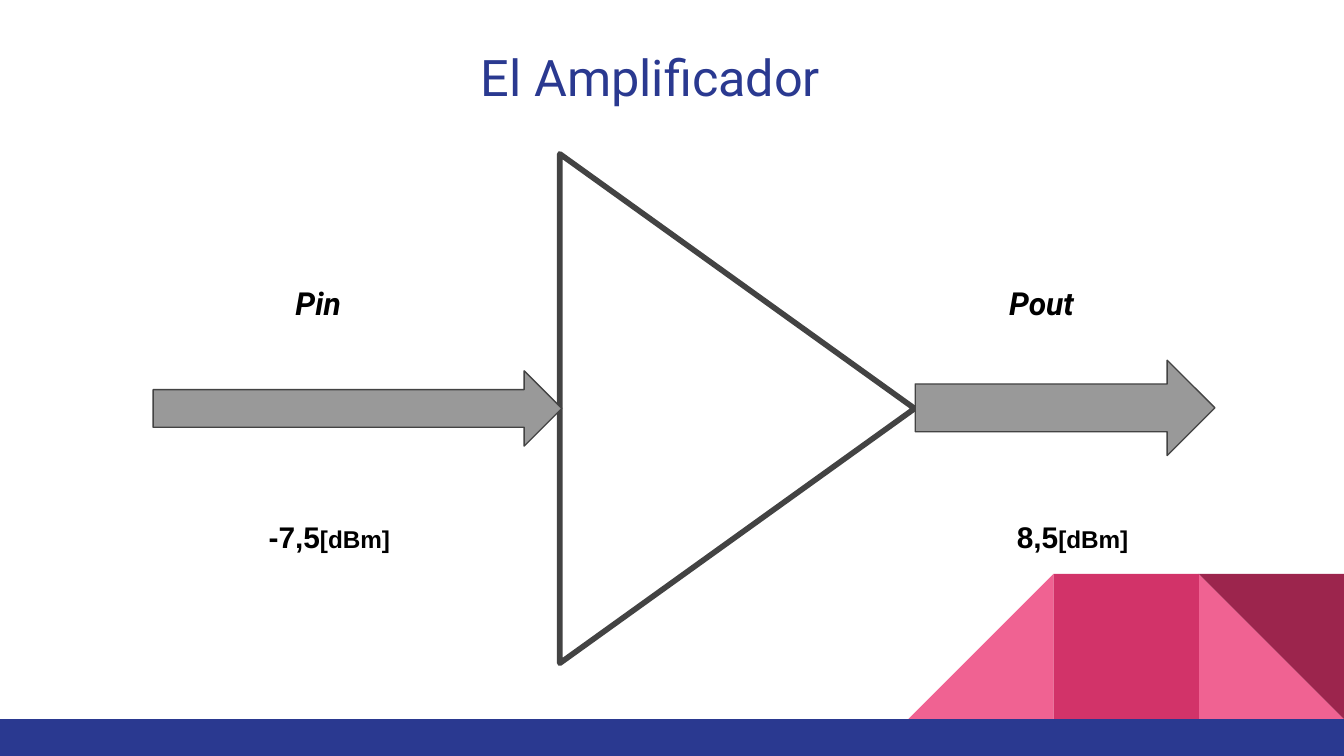
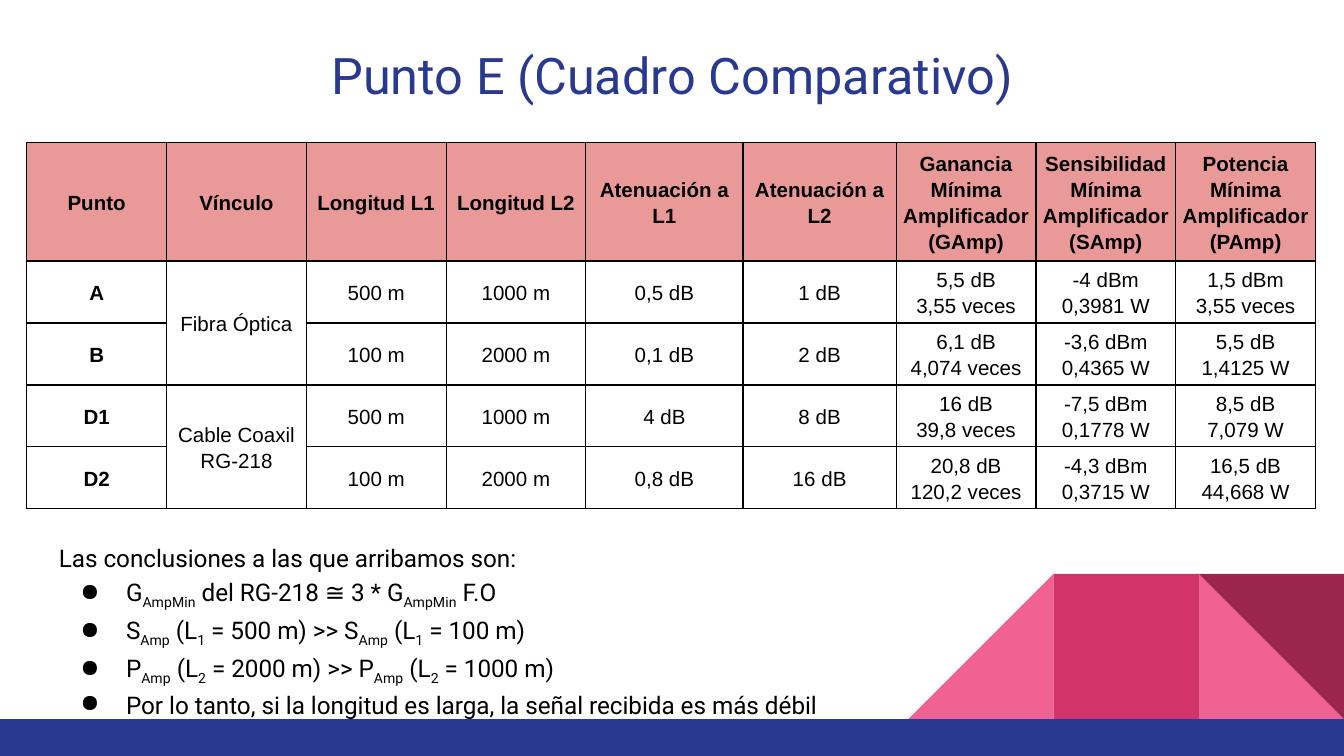
"""Build two slides on amplifier power: a block diagram and a comparison table."""

import dataclasses
import typing

import lxml.etree
import pptx
import pptx.dml.color
import pptx.enum.shapes
import pptx.enum.text
import pptx.oxml.ns
import pptx.util

RGB = pptx.dml.color.RGBColor
Pt = pptx.util.Pt
Preset = pptx.enum.shapes.MSO_SHAPE
Align = pptx.enum.text.PP_ALIGN
qn = pptx.oxml.ns.qn

BLACK = RGB(0x00, 0x00, 0x00)
WHITE = RGB(0xFF, 0xFF, 0xFF)
NAVY = RGB(0x2A, 0x39, 0x90)
PINK = RGB(0xF0, 0x62, 0x92)
MAGENTA = RGB(0xD2, 0x33, 0x69)
MAROON = RGB(0x9C, 0x25, 0x4D)
OUTLINE = RGB(0x43, 0x43, 0x43)
ARROW_GREY = RGB(0x99, 0x99, 0x99)
HEADER_ROSE = RGB(0xEA, 0x99, 0x99)

COLUMNS, ROWS = 100, 56.25
UNIT = pptx.util.Inches(10) / COLUMNS
TILE = 10.8
FOOTER_ROW = 53.5
SPLIT = "|"


class Area(typing.NamedTuple):
    """Place on the slide grid, in columns and rows."""

    column: float
    row: float
    width: float
    height: float

    def lengths(self) -> list[int]:
        """Return left, top, width and height as slide lengths."""
        return [grid(value) for value in self]


@dataclasses.dataclass(frozen=True)
class Block:
    """Filled preset shape."""

    area: Area
    preset: Preset
    fill: RGB
    rotation: int = 0
    flipped: bool = False
    border: float = 0


@dataclasses.dataclass(frozen=True)
class Style:
    """Text look; the accent applies to every second piece between split marks."""

    font: dict
    color: RGB = BLACK
    accent: dict = dataclasses.field(default_factory=dict)
    accent_baseline: int = 0
    layout: dict = dataclasses.field(default_factory=dict)
    bullet: str = ""


class Label(typing.NamedTuple):
    """Text box holding lines of one style."""

    area: Area
    lines: list[str]
    style: Style


CENTERED = {"alignment": Align.CENTER, "line_spacing": 1.15}
TITLE = Style({"name": "Roboto", "size": Pt(27)}, NAVY, layout={"alignment": Align.CENTER})
PORT = Style({"name": "Roboto", "size": Pt(17), "bold": True, "italic": True})
POWER = Style({"name": "Arial", "size": Pt(16), "bold": True},
              accent={"size": Pt(13)}, layout=CENTERED)
INTRO = Style({"name": "Roboto", "size": Pt(13)})
CONCLUSION = dataclasses.replace(INTRO, accent_baseline=-25000,
                                 layout={"line_spacing": 1.15}, bullet="●")
VALUE = Style({"name": "Arial", "size": Pt(11), "bold": False}, layout=CENTERED)
HEADING = dataclasses.replace(VALUE, font=VALUE.font | {"bold": True})

DECORATION = [
    Block(Area(COLUMNS - TILE, FOOTER_ROW - TILE, TILE, TILE), Preset.RIGHT_TRIANGLE, PINK),
    Block(Area(COLUMNS - 3 * TILE, FOOTER_ROW - TILE, TILE, TILE),
          Preset.RIGHT_TRIANGLE, PINK, flipped=True),
    Block(Area(COLUMNS - 2 * TILE, FOOTER_ROW - TILE, TILE, TILE), Preset.RECTANGLE, MAGENTA),
    Block(Area(COLUMNS - TILE, FOOTER_ROW - TILE, TILE, TILE),
          Preset.RIGHT_TRIANGLE, MAROON, rotation=180),
    Block(Area(0, FOOTER_ROW, COLUMNS, ROWS - FOOTER_ROW), Preset.RECTANGLE, NAVY),
]

AMPLIFIER = [
    Block(Area(35.9, 17.2, 37.9, 26.4), Preset.FLOWCHART_EXTRACT, WHITE, rotation=90, border=3),
    Block(Area(11.4, 27.6, 30.4, 5.6), Preset.RIGHT_ARROW, ARROW_GREY, border=0.75),
    Block(Area(68.1, 26.8, 22.3, 7.1), Preset.RIGHT_ARROW, ARROW_GREY, border=0.75),
]

SIGNALS = [
    Label(Area(21, 20.1, 6.8, 4.9), ["Pin"], PORT),
    Label(Area(74.1, 20.1, 8.2, 4.9), ["Pout"], PORT),
    Label(Area(9.3, 37.2, 30.4, 4.7), ["-7,5|[dBm]"], POWER),
    Label(Area(65.9, 37.2, 27.8, 4.7), ["8,5|[dBm]"], POWER),
]

COMPARISON = [
    ["Punto", "Vínculo", "Longitud L1", "Longitud L2", "Atenuación a L1", "Atenuación a L2",
     "Ganancia Mínima Amplificador (GAmp)", "Sensibilidad Mínima Amplificador (SAmp)",
     "Potencia Mínima Amplificador (PAmp)"],
    ["A", "Fibra Óptica", "500 m", "1000 m", "0,5 dB", "1 dB",
     "5,5 dB\n3,55 veces", "-4 dBm\n0,3981 W", "1,5 dBm\n3,55 veces"],
    ["B", "", "100 m", "2000 m", "0,1 dB", "2 dB",
     "6,1 dB\n4,074 veces", "-3,6 dBm\n0,4365 W", "5,5 dB\n1,4125 W"],
    ["D1", "Cable Coaxil RG-218", "500 m", "1000 m", "4 dB", "8 dB",
     "16 dB\n39,8 veces", "-7,5 dBm\n0,1778 W", "8,5 dB\n7,079 W"],
    ["D2", "", "100 m", "2000 m", "0,8 dB", "16 dB",
     "20,8 dB\n120,2 veces", "-4,3 dBm\n0,3715 W", "16,5 dB\n44,668 W"],
]
COLUMN_WIDTHS = [10.4] * 4 + [11.7, 11.4] + [10.4] * 3
ROW_HEIGHTS = [7.2] + [3.9] * 4
LINK_COLUMN = 1
LINK_ROWS = [(1, 2), (3, 4)]
CELL_FORMAT = {
    "margin_left": grid_margin if (grid_margin := pptx.util.Inches(0.03)) else 0,
    "margin_right": grid_margin,
    "margin_top": pptx.util.Inches(0.02),
    "margin_bottom": pptx.util.Inches(0.02),
    "vertical_anchor": pptx.enum.text.MSO_ANCHOR.MIDDLE,
}
BOX_FORMAT = {f"margin_{side}": pptx.util.Inches(0.1)
              for side in ("left", "top", "right", "bottom")} | {"word_wrap": True}

CONCLUSIONS_AREA = Area(3.4, 39.4, 67.7, 13.9)
CONCLUSIONS_INTRO = "Las conclusiones a las que arribamos son:"
CONCLUSIONS = [
    "G|AmpMin| del RG-218 ≅ 3 * G|AmpMin| F.O",
    "S|Amp| (L|1| = 500 m) >> S|Amp| (L|1| = 100 m)",
    "P|Amp| (L|2| = 2000 m) >> P|Amp| (L|2| = 1000 m)",
    "Por lo tanto, si la longitud es larga, la señal recibida es más débil",
]


def grid(value: float) -> int:
    """Turn grid units into a slide length."""
    return pptx.util.Emu(round(value * UNIT))


def assign(target: typing.Any, values: dict) -> None:
    """Set attributes from a dict of format values."""
    for name, value in values.items():
        setattr(target, name, value)


def add_bullet(paragraph: typing.Any, mark: str) -> None:
    """Give a paragraph a hanging black bullet."""
    properties = paragraph._p.get_or_add_pPr()
    properties.set("marL", str(pptx.util.Inches(0.5)))
    properties.set("indent", str(pptx.util.Inches(-0.34)))
    color = lxml.etree.SubElement(properties, qn("a:buClr"))
    lxml.etree.SubElement(color, qn("a:srgbClr"), val=str(BLACK))
    lxml.etree.SubElement(properties, qn("a:buChar"), char=mark)


def write(frame: typing.Any, lines: list[str], style: Style, follow_on: bool = False) -> None:
    """Write lines as paragraphs, after the present ones when following on."""
    for index, line in enumerate(lines):
        paragraph = frame.add_paragraph() if index or follow_on else frame.paragraphs[0]
        if style.bullet:
            add_bullet(paragraph, style.bullet)
        assign(paragraph, style.layout)
        for position, piece in enumerate(line.split(SPLIT)):
            run = paragraph.add_run()
            run.text = piece
            accented = position % 2 == 1
            assign(run.font, style.font | (style.accent if accented else {}))
            run.font.color.rgb = style.color
            if accented and style.accent_baseline:
                run._r.get_or_add_rPr().set("baseline", str(style.accent_baseline))


def add_block(slide: typing.Any, block: Block) -> None:
    """Draw one filled preset shape."""
    shape = slide.shapes.add_shape(block.preset, *block.area.lengths())
    shape.shadow.inherit = False
    shape.rotation = block.rotation
    shape.fill.solid()
    shape.fill.fore_color.rgb = block.fill
    if block.flipped:
        shape.element.spPr.get_or_add_xfrm().set("flipH", "1")
    if block.border:
        shape.line.color.rgb = OUTLINE
        shape.line.width = Pt(block.border)
    else:
        shape.line.fill.background()


def add_label(slide: typing.Any, label: Label) -> typing.Any:
    """Draw a text box and return its text frame."""
    frame = slide.shapes.add_textbox(*label.area.lengths()).text_frame
    assign(frame, BOX_FORMAT)
    write(frame, label.lines, label.style)
    return frame


def add_slide(deck: typing.Any, title: str, column: float, row: float) -> typing.Any:
    """Add a blank slide with the shared decoration and a title."""
    slide = deck.slides.add_slide(deck.slide_layouts[6])
    for block in DECORATION:
        add_block(slide, block)
    add_label(slide, Label(Area(column, row, 93.2, 6.6), [title], TITLE))
    return slide


def add_borders(cell: typing.Any) -> None:
    """Outline a cell on its four sides."""
    properties = cell._tc.get_or_add_tcPr()
    for side in ("lnL", "lnR", "lnT", "lnB"):
        edge = lxml.etree.SubElement(properties, qn(f"a:{side}"), w=str(Pt(0.75)))
        paint = lxml.etree.SubElement(edge, qn("a:solidFill"))
        lxml.etree.SubElement(paint, qn("a:srgbClr"), val=str(BLACK))


def add_comparison(slide: typing.Any) -> None:
    """Draw the comparison table with its merged link cells."""
    area = Area(2, 10.6, sum(COLUMN_WIDTHS), sum(ROW_HEIGHTS))
    table = slide.shapes.add_table(
        len(ROW_HEIGHTS), len(COLUMN_WIDTHS), *area.lengths()).table
    assign(table, {"first_row": False, "horz_banding": False})
    for column, width in zip(table.columns, COLUMN_WIDTHS):
        column.width = grid(width)
    for row, height in zip(table.rows, ROW_HEIGHTS):
        row.height = grid(height)
    for first, last in LINK_ROWS:
        table.cell(first, LINK_COLUMN).merge(table.cell(last, LINK_COLUMN))
    for row, texts in enumerate(COMPARISON):
        for column, text in enumerate(texts):
            cell = table.cell(row, column)
            assign(cell, CELL_FORMAT)
            add_borders(cell)
            if row == 0:
                cell.fill.solid()
                cell.fill.fore_color.rgb = HEADER_ROSE
            else:
                cell.fill.background()
            if not cell.is_spanned:
                heading = row == 0 or column == 0
                write(cell.text_frame, text.split("\n"), HEADING if heading else VALUE)


def main() -> None:
    """Build and save the presentation."""
    deck = pptx.Presentation()
    assign(deck, {"slide_width": grid(COLUMNS), "slide_height": grid(ROWS)})

    amplifier = add_slide(deck, "El Amplificador", 1.8, 2.4)
    for block in AMPLIFIER:
        add_block(amplifier, block)
    for signal in SIGNALS:
        add_label(amplifier, signal)

    comparison = add_slide(deck, "Punto E (Cuadro Comparativo)", 3.4, 2.3)
    add_comparison(comparison)
    conclusions = add_label(comparison, Label(CONCLUSIONS_AREA, [CONCLUSIONS_INTRO], INTRO))
    write(conclusions, CONCLUSIONS, CONCLUSION, follow_on=True)

    deck.save("out.pptx")


if __name__ == "__main__":
    main()
